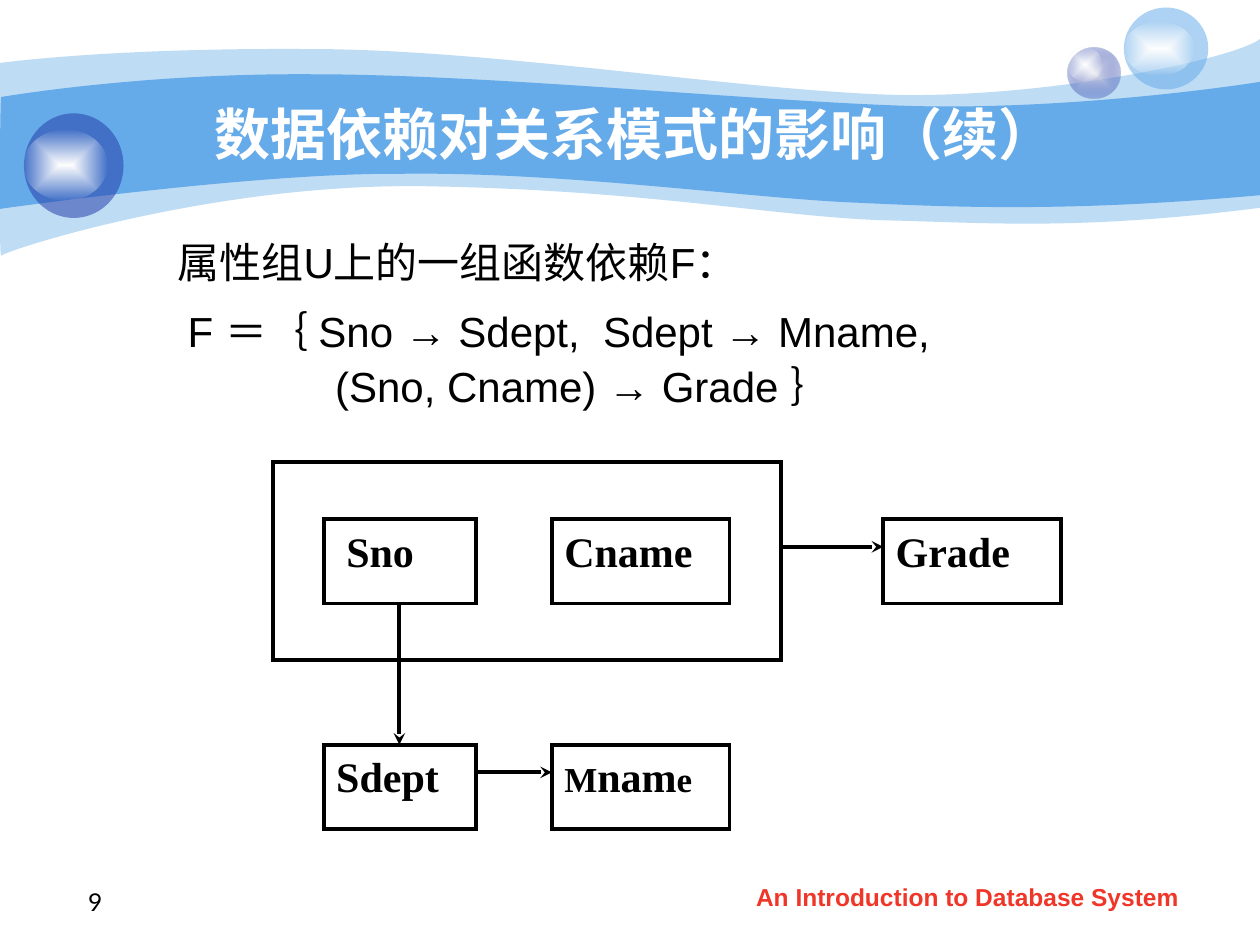
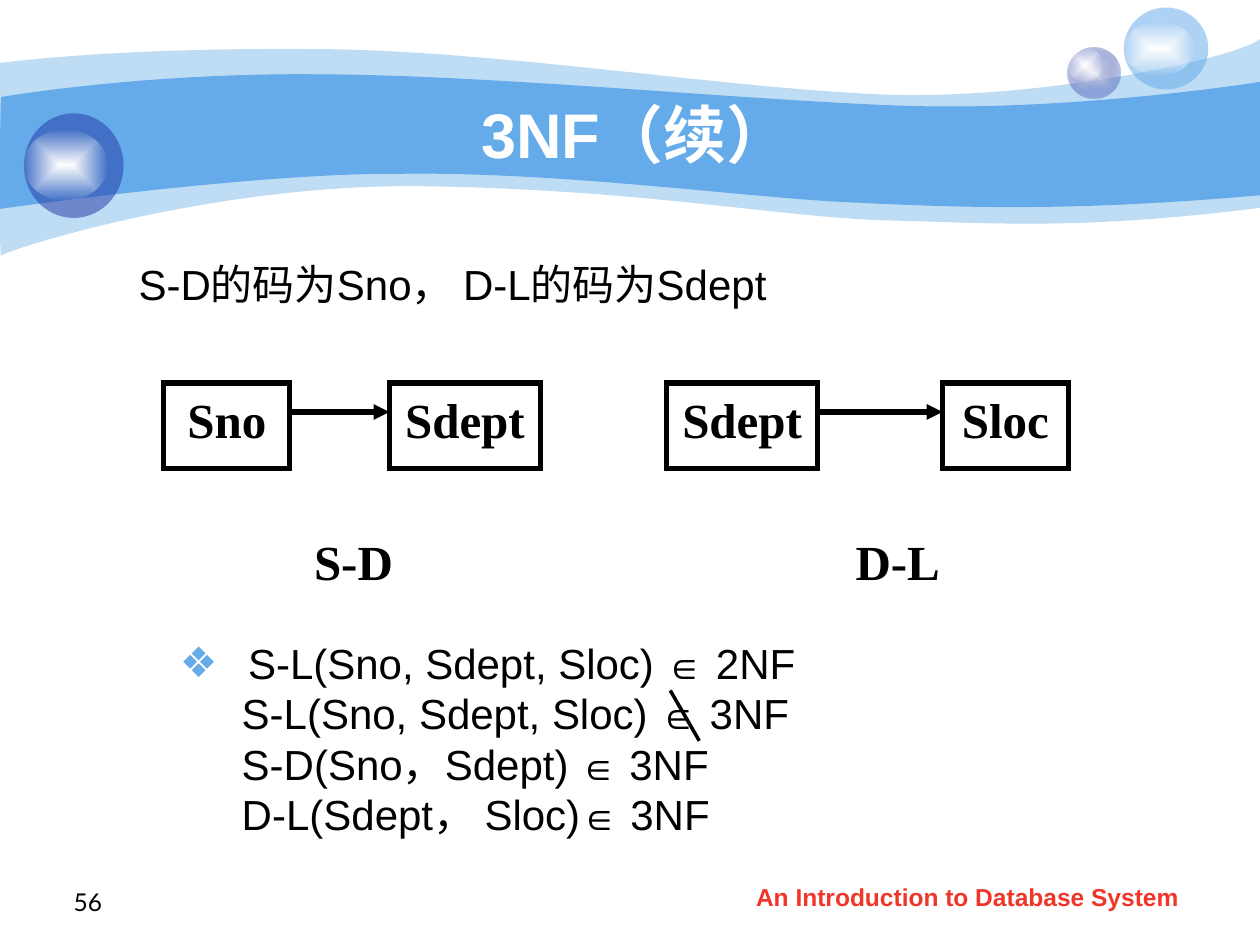
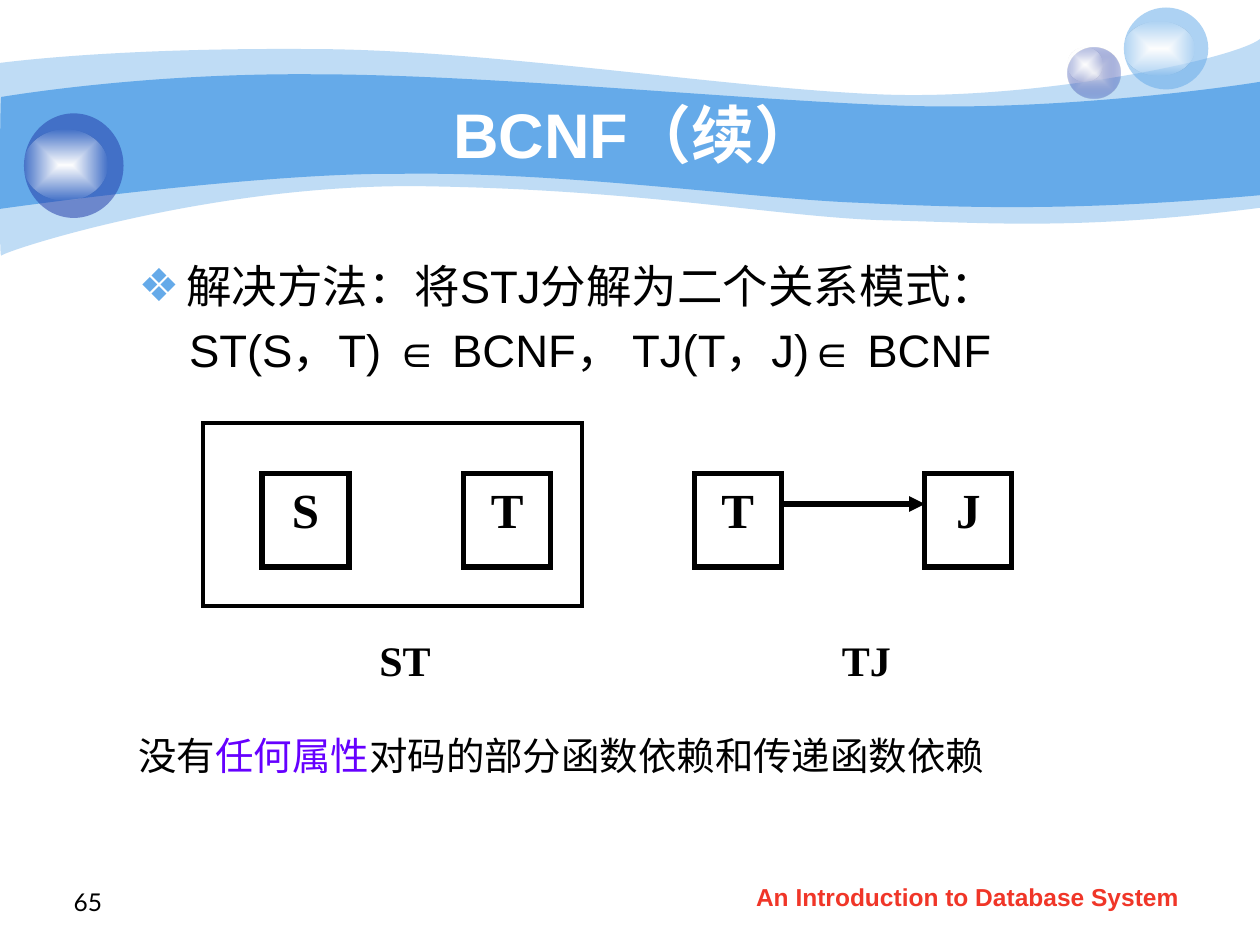
from dataclasses import dataclass
from typing import NamedTuple, Optional

import pptx
import pptx.dml.color
import pptx.enum.shapes
import pptx.enum.text
import pptx.oxml
import pptx.oxml.ns
import pptx.util

Inches = pptx.util.Inches
Pt = pptx.util.Pt
Align = pptx.enum.text.PP_ALIGN
Anchor = pptx.enum.text.MSO_ANCHOR
Preset = pptx.enum.shapes.MSO_SHAPE
NS = pptx.oxml.ns.nsdecls("a")
qn = pptx.oxml.ns.qn

COLORS = {
    "sky": "65AAE9", "navy": "233DA9", "pearl": "E1E2ED", "white": "FFFFFF",
    "black": "000000", "red": "F03628", "violet": "6600FF",
}
SANS, SERIF, NUMBER = "Arial", "Times New Roman", "Lato"
FOOTER = "An Introduction to Database System"


class Area(NamedTuple):
    left: float
    top: float
    width: float
    height: float

    def emu(self) -> list:
        return [Inches(v) for v in self]


class Run(NamedTuple):
    text: str
    size: float
    color: str = "black"
    bold: bool = False
    font: str = SANS


@dataclass
class Para:
    runs: list
    align: Align = Align.LEFT
    margin: float = 0
    indent: float = 0
    bullet: bool = False
    before: float = 0
    spacing: Optional[float] = None
    level: int = 0


class Paint(NamedTuple):
    color: str
    alpha: int = 100


class Ball(NamedTuple):
    area: Area
    center: Paint
    edge: Optional[Paint] = None


class Band(NamedTuple):
    """A start point, then curves (six numbers) and straight edges (two)."""
    paint: Paint
    start: tuple
    segments: list


GLOW = (Paint("white"), Paint("white", 0))
BANDS = [
    Band(Paint("sky", 41), (0, 0.5), [
        (0.24, 0.47, 1.07, 0.38, 2.47, 0.39), (3.86, 0.39, 5.75, 0.7, 6.99, 0.75),
        (8.22, 0.8, 9.8, 0.47, 10, 0.31), (10, 1.65),
        (8.58, 1.83, 7.87, 1.77, 7.05, 1.75), (6.22, 1.73, 5.15, 1.51, 3.43, 1.48),
        (1.72, 1.44, 0.04, 1.99, 0.01, 2.03), (-0.01, 2.08, 0, 0.75, 0, 0.5)]),
    Band(Paint("sky"), (0.01, 0.77), [
        (0.02, 0.77, 1.1, 0.58, 2.48, 0.59), (3.86, 0.59, 5.95, 0.8, 7.18, 0.84),
        (8.41, 0.88, 9.76, 0.69, 10, 0.65), (10, 1.55),
        (8.53, 1.68, 7.65, 1.65, 6.82, 1.61), (5.99, 1.58, 4.47, 1.36, 3.17, 1.38),
        (2.03, 1.37, -0.02, 1.66, -0.01, 1.66), (0, 1.66, 0, 0.77, 0.01, 0.77)]),
]
BALLS = [
    Ball(Area(8.47, 0.38, 0.42, 0.4), Paint("pearl"), Paint("navy", 31)),
    Ball(Area(8.47, 0.38, 0.28, 0.27), *GLOW),
    Ball(Area(8.92, 0.06, 0.67, 0.65), Paint("sky", 53)),
    Ball(Area(8.92, 0.17, 0.56, 0.43), *GLOW),
    Ball(Area(0.19, 0.9, 0.79, 0.83), Paint("navy", 53)),
    Ball(Area(0.19, 1.03, 0.66, 0.56), *GLOW),
]


def rgb(name: str) -> pptx.dml.color.RGBColor:
    return pptx.dml.color.RGBColor.from_string(COLORS[name])


def color_xml(paint: Paint) -> str:
    return (f'<a:srgbClr val="{COLORS[paint.color]}">'
            f'<a:alpha val="{paint.alpha * 1000}"/></a:srgbClr>')


def apply_paint(sp, center: Paint, edge: Optional[Paint] = None) -> None:
    """Fill with one colour, or with a gradient from the center to the edge."""
    if edge is None:
        xml = f"<a:solidFill {NS}>{color_xml(center)}</a:solidFill>"
    else:
        xml = (f'<a:gradFill {NS} rotWithShape="1"><a:gsLst>'
               f'<a:gs pos="0">{color_xml(center)}</a:gs>'
               f'<a:gs pos="100000">{color_xml(edge)}</a:gs></a:gsLst>'
               '<a:path path="shape"><a:fillToRect l="50000" t="50000" '
               'r="50000" b="50000"/></a:path></a:gradFill>')
    sp.shadow.inherit = False
    sp.line.fill.background()
    sp.fill.background()
    props = sp.element.spPr
    props.replace(props.find(qn("a:noFill")), pptx.oxml.parse_xml(xml))


def add_band(s, band: Band):
    """Lay out every point as a line, then join each curve's three points."""
    builder = s.shapes.build_freeform(*(Inches(v) for v in band.start))
    builder.add_line_segments([(Inches(seg[i]), Inches(seg[i + 1]))
                               for seg in band.segments
                               for i in range(0, len(seg), 2)], close=True)
    sp = builder.convert_to_shape()
    lines = iter(list(sp.element.iter(qn("a:lnTo"))))
    for segment in band.segments:
        steps = [next(lines) for _ in range(len(segment) // 2)]
        if len(steps) == 3:
            curve = pptx.oxml.parse_xml(f"<a:cubicBezTo {NS}/>")
            steps[0].addprevious(curve)
            for step in steps:
                curve.append(step[0])
                step.getparent().remove(step)
    apply_paint(sp, band.paint)
    return sp


def add_ball(s, ball: Ball):
    sp = s.shapes.add_shape(Preset.OVAL, *ball.area.emu())
    apply_paint(sp, ball.center, ball.edge)
    return sp


def decorate_layout(layout, s) -> None:
    """Draw bands and balls on a slide and move them to its layout."""
    for ph in list(layout.placeholders)[2:]:
        layout.shapes.element.remove(ph.element)
    drawn = [add_band(s, band) for band in BANDS] + [add_ball(s, ball) for ball in BALLS]
    for sp in drawn:
        layout.shapes.element.append(sp.element)


def write(tf, paras: list, anchor=Anchor.TOP) -> None:
    tf.word_wrap = True
    tf.auto_size = pptx.enum.text.MSO_AUTO_SIZE.NONE
    tf.vertical_anchor = anchor
    for i, para in enumerate(paras):
        p = tf.add_paragraph() if i else tf.paragraphs[0]
        props = p._p.get_or_add_pPr()
        props.set("marL", str(Inches(para.margin)))
        props.set("indent", str(Inches(para.indent)))
        bullet = [f"<a:buNone {NS}/>"]
        if para.bullet:
            bullet = [f'<a:buClr {NS}><a:srgbClr val="{COLORS["sky"]}"/></a:buClr>',
                      f'<a:buFont {NS} typeface="{SANS}"/>',
                      f'<a:buChar {NS} char="❖"/>']
        for xml in bullet:
            props.append(pptx.oxml.parse_xml(xml))
        p.level = para.level
        p.alignment = para.align
        p.space_before = Pt(para.before)
        if para.spacing:
            p.line_spacing = para.spacing
        for run in para.runs:
            r = p.add_run()
            r.text = run.text
            r.font.size = Pt(run.size)
            r.font.name = run.font
            r.font.bold = run.bold
            r.font.color.rgb = rgb(run.color)


def place(sp, area: Area) -> None:
    sp.left, sp.top, sp.width, sp.height = area.emu()


def add_text(s, area: Area, paras: list, anchor=Anchor.TOP) -> None:
    write(s.shapes.add_textbox(*area.emu()).text_frame, paras, anchor)


def add_slide(prs, number: int, title: str, title_size: float, body: Area, paras: list):
    s = prs.slides.add_slide(prs.slide_layouts[1])
    if len(prs.slides) == 1:
        decorate_layout(s.slide_layout, s)
    place(s.shapes.title, Area(1, 0.75, 8.08, 0.62))
    write(s.shapes.title.text_frame,
          [Para([Run(title, title_size, "white", True)], Align.CENTER)], Anchor.MIDDLE)
    place(s.placeholders[1], body)
    write(s.placeholders[1].text_frame, paras)
    add_text(s, Area(5.71, 6.95, 3.94, 0.35),
             [Para([Run(FOOTER, 14, "red", True)], Align.CENTER)])
    add_text(s, Area(0.27, 6.82, 0.64, 0.5),
             [Para([Run(str(number), 14, font=NUMBER)], Align.RIGHT)], Anchor.BOTTOM)
    return s


def serif(text: str, size: float) -> Run:
    return Run(text, size, bold=True, font=SERIF)


def add_box(s, area: Area, runs: list, weight: float, align=Align.CENTER,
            margin: float = 0) -> None:
    sp = s.shapes.add_shape(Preset.RECTANGLE, *area.emu())
    sp.shadow.inherit = False
    sp.fill.background()
    sp.line.color.rgb = rgb("black")
    sp.line.width = Pt(weight)
    sp.element.spPr.find(qn("a:ln")).append(
        pptx.oxml.parse_xml(f'<a:miter {NS} lim="800000"/>'))
    if runs:
        write(sp.text_frame, [Para(runs, align, margin)])


def add_label(s, area: Area, text: str, size: float) -> None:
    add_text(s, area, [Para([serif(text, size)], Align.CENTER)])


def add_line(s, start: tuple, end: tuple, weight: float, head: str = "") -> None:
    line = s.shapes.add_connector(pptx.enum.shapes.MSO_CONNECTOR.STRAIGHT,
                                  *(Inches(v) for v in start + end))
    line.line.color.rgb = rgb("black")
    line.line.width = Pt(weight)
    if head:
        line.element.spPr.find(qn("a:ln")).append(
            pptx.oxml.parse_xml(f'<a:tailEnd {NS} type="{head}"/>'))
    line.element.spPr.append(pptx.oxml.parse_xml(f"<a:effectLst {NS}/>"))


def build_dependencies(prs) -> None:
    s = add_slide(prs, 9, "数据依赖对关系模式的影响（续）", 32, Area(1.08, 1.83, 8.5, 4.5), [
        Para([Run("属性组U上的一组函数依赖F：", 24)], margin=0.23),
        Para([Run("F ＝｛ Sno → Sdept,  Sdept → Mname,", 24)], margin=0.31,
             before=4.8, spacing=1.2),
        Para([Run("(Sno, Cname) → Grade ｝", 24)], margin=1.48, before=2.4),
    ])
    weight, height = 2.25, 0.67
    upper, lower = 4.12, 5.91
    add_box(s, Area(2.17, 3.67, 4.03, 1.57), [], weight)
    mname = [serif("M", 20), serif("nam", 24), serif("e", 20)]
    for left, top, width, runs, margin in [
            (2.57, upper, 1.21, [serif("Sno", 24)], 0.08),
            (4.38, upper, 1.41, [serif("Cname", 24)], 0),
            (7.01, upper, 1.41, [serif("Grade", 24)], 0),
            (2.57, lower, 1.21, [serif("Sdept", 24)], 0),
            (4.38, lower, 1.41, mname, 0)]:
        add_box(s, Area(left, top, width, height), runs, weight, Align.LEFT, margin)
    for start, end in [((3.17, upper + height), (3.17, lower)),
                       ((3.78, lower + 0.22), (4.38, lower + 0.22)),
                       ((6.2, upper + 0.22), (7.01, upper + 0.22))]:
        add_line(s, start, end, weight, "stealth")


def build_third_form(prs) -> None:
    s = add_slide(prs, 56, "3NF（续）", 36, Area(0.5, 2, 9, 4.92), [
        Para([Run("S-D的码为Sno， D-L的码为Sdept", 24)], margin=0.5, level=1)])
    top, height = 3.04, 0.68
    for left, width, name in [(1.3, 1, "Sno"), (3.09, 1.2, "Sdept"),
                              (5.29, 1.2, "Sdept"), (7.48, 1, "Sloc")]:
        add_box(s, Area(left, top, width, height), [serif(name, 28)], 3)
    for start, end in [(2.3, 3.09), (6.49, 7.48)]:
        add_line(s, (start, 3.27), (end, 3.27), 3, "triangle")
    for left, width, name in [(2.3, 1.01, "S-D"), (6.68, 0.89, "D-L")]:
        add_label(s, Area(left, 4.17, width, height), name, 28)
    memberships = [("S-L(Sno, Sdept, Sloc) ", "∈", " 2NF"),
                   ("S-L(Sno, Sdept, Sloc) ", "∈", " 3NF"),
                   ("S-D(Sno，Sdept)", " ∈", " 3NF"),
                   ("D-L(Sdept， Sloc)", "∈", " 3NF")]
    add_text(s, Area(0.98, 5.01, 5.75, 1.7), [
        Para([Run(relation, 24), Run(sign, 22), Run(form, 24)],
             margin=0.84 if i else 0.89, indent=0 if i else -0.54, bullet=i == 0)
        for i, (relation, sign, form) in enumerate(memberships)])
    add_line(s, (5.32, 5.48), (5.55, 5.88), 2)


def build_boyce_codd(prs) -> None:
    s = add_slide(prs, 65, "BCNF（续）", 36, Area(1, 2, 8.5, 4.5), [
        Para([Run("解决方法：将STJ分解为二个关系模式：", 26)],
             margin=0.38, indent=-0.38, bullet=True),
        Para([Run("ST(S，T) ∈ BCNF， TJ(T，J)∈ BCNF", 26)], margin=0.4, before=5.2),
        Para([Run("没有", 22), Run("任何属性", 22, "violet"),
              Run("对码的部分函数依赖和传递函数依赖", 22)], before=198, spacing=1.2),
    ])
    for left, name in [(2.08, "S"), (3.68, "T"), (5.51, "T"), (7.34, "J")]:
        add_box(s, Area(left, 3.76, 0.69, 0.74), [serif(name, 28)], 3)
    add_line(s, (6.2, 4), (7.34, 4), 3, "triangle")
    for left, name in [(2.76, "ST"), (6.42, "TJ")]:
        add_label(s, Area(left, 4.99, 0.91, 0.74), name, 24)
    add_box(s, Area(1.61, 3.36, 3.01, 1.45), [], 2.25)


def main() -> None:
    prs = pptx.Presentation()
    prs.slide_width, prs.slide_height = Inches(10), Inches(7.5)
    build_dependencies(prs)
    build_third_form(prs)
    build_boyce_codd(prs)
    prs.save("out.pptx")


if __name__ == "__main__":
    main()
